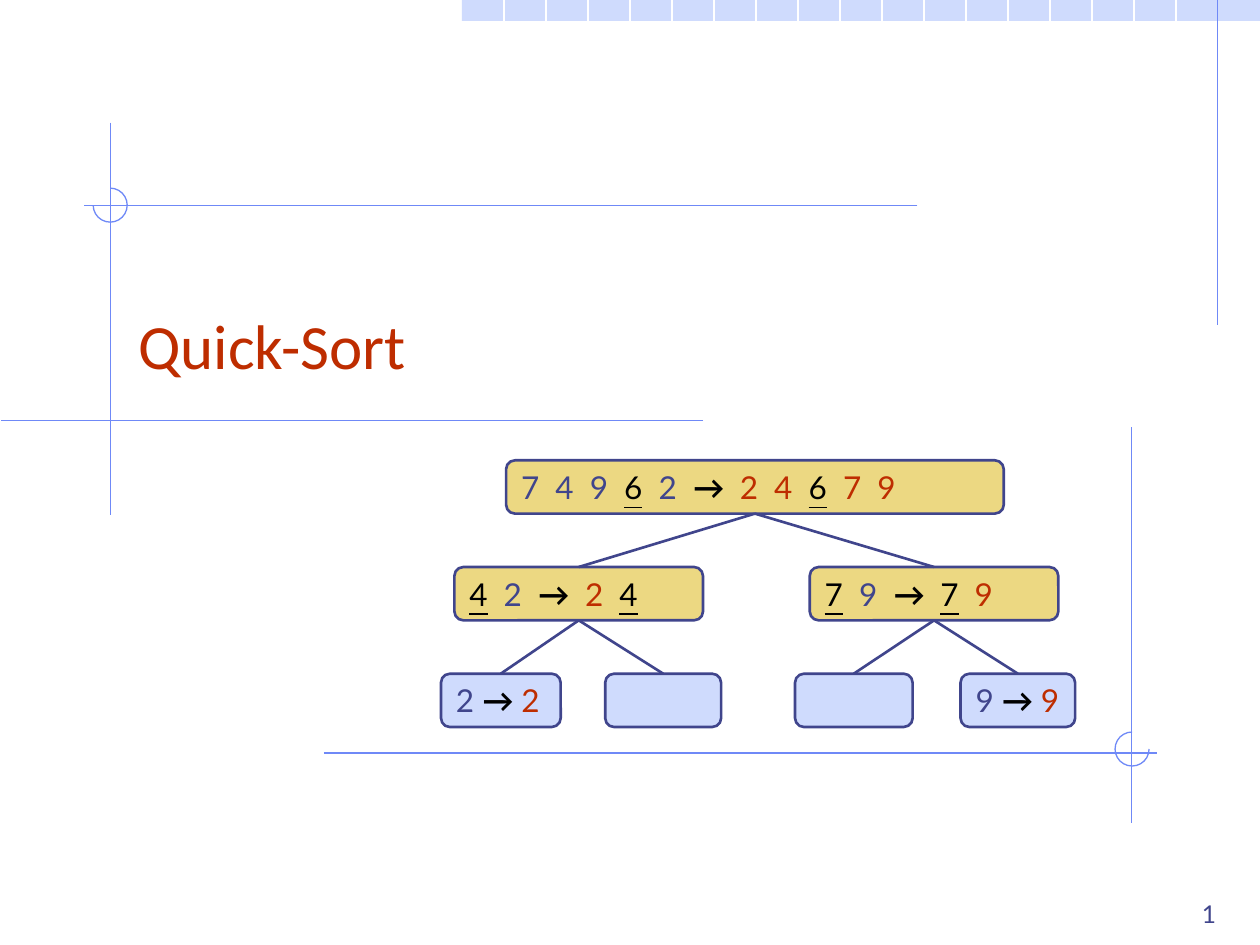
"""Builds a title slide for Quick-Sort with its tree of recursive calls."""
from typing import NamedTuple

from lxml.etree import SubElement
from pptx import Presentation
from pptx.dml.color import RGBColor
from pptx.enum.shapes import MSO_CONNECTOR as Link, MSO_SHAPE as Kind
from pptx.enum.text import MSO_ANCHOR as Anchor, PP_ALIGN as Align
from pptx.oxml.ns import qn
from pptx.util import Inches, Pt

NAVY = RGBColor(0x40, 0x45, 0x8C)
RED = RGBColor(0xBE, 0x2D, 0x00)
BLACK = RGBColor(0x00, 0x00, 0x00)
WHITE = RGBColor(0xFF, 0xFF, 0xFF)
GOLD = RGBColor(0xEC, 0xD8, 0x82)
PALE = RGBColor(0xCF, 0xDB, 0xFD)
BLUE = RGBColor(0x6F, 0x89, 0xF7)

WIDE, HIGH = Inches(10), Inches(7.5)
COLS, ROWS = 30, 22.5
CELL = WIDE / COLS
TOP, STEP, TALL = 10.96, 2.54, 1.27


class Box(NamedTuple):
    left: float
    top: float
    width: float
    height: float


class Line(NamedTuple):
    x1: float
    y1: float
    x2: float
    y2: float


class Ring(NamedTuple):
    box: Box
    start: int
    end: int


class Ink(NamedTuple):
    color: RGBColor
    bold: bool = False
    under: bool = False


class Node(NamedTuple):
    level: int
    left: float
    width: float
    fill: RGBColor
    parent: int | None
    runs: list[tuple[str, Ink]]


OLD, NEW = Ink(NAVY), Ink(RED)
PIVOT, ARROW = Ink(BLACK, under=True), Ink(BLACK, bold=True)

AXES = [
    Line(28.99, 0, 28.99, 7.74),
    Line(2.63, 2.92, 2.63, 12.27),
    Line(16.74, 10.02, 0.03, 10.02),
    Line(21.84, 4.89, 2.01, 4.89),
    Line(7.71, 17.93, 27.54, 17.93),
    Line(26.94, 10.17, 26.94, 19.59),
]
RINGS = [
    Ring(Box(2.22, 4.48, 0.81, 0.81), 270, 180),
    Ring(Box(26.55, 17.43, 0.81, 0.81), 0, 270),
]
NODES = [
    Node(0, 12.05, 11.85, GOLD, None, [
        ("7  4  9  ", OLD), ("6", PIVOT), ("  2  ", OLD), ("→  ", ARROW),
        ("2  4  ", NEW), ("6", PIVOT), ("  7  9", NEW)]),
    Node(1, 10.82, 5.92, GOLD, 0, [
        ("4", PIVOT), ("  2  ", OLD), ("→  ", ARROW), ("2  ", NEW), ("4", PIVOT)]),
    Node(1, 19.28, 5.92, GOLD, 0, [
        ("7", PIVOT), ("  9  ", OLD), ("→  ", ARROW), ("7", PIVOT), ("  9", NEW)]),
    Node(2, 10.5, 2.85, PALE, 1, [("2 ", OLD), ("→ ", ARROW), ("2", NEW)]),
    Node(2, 14.41, 2.76, PALE, 1, []),
    Node(2, 18.93, 2.8, PALE, 2, []),
    Node(2, 22.87, 2.73, PALE, 2, [("9 ", OLD), ("→ ", ARROW), ("9", NEW)]),
]


def grid(spots: tuple) -> list[int]:
    return [round(spot * CELL) for spot in spots]


def add_form(slide, kind: Kind, box: Box, fill: RGBColor | None,
             edge: RGBColor | None = None, weight: float = 0.75):
    form = slide.shapes.add_shape(kind, *grid(box))
    form.shadow.inherit = False
    if fill is None:
        form.fill.background()
    else:
        form.fill.solid()
        form.fill.fore_color.rgb = fill
    if edge is None:
        form.line.fill.background()
    else:
        form.line.color.rgb = edge
        form.line.width = Pt(weight)
    return form


def add_line(slide, line: Line, color: RGBColor, weight: float = 0.75):
    link = slide.shapes.add_connector(Link.STRAIGHT, *grid(line))
    link.line.color.rgb = color
    link.line.width = Pt(weight)
    SubElement(link._element.spPr, qn("a:effectLst"))
    return link


def add_ring(slide, ring: Ring) -> None:
    arc = add_form(slide, Kind.ARC, ring.box, None, BLUE)
    for spot, angle in enumerate((ring.start, ring.end)):
        arc.adjustments[spot] = angle * 0.6


def add_text(slide, box: Box, text: str, face: str, size: int,
             color: RGBColor, align: Align) -> None:
    frame = slide.shapes.add_textbox(*grid(box)).text_frame
    frame.word_wrap = True
    frame.vertical_anchor = Anchor.BOTTOM
    para = frame.paragraphs[0]
    para.text = text
    para.alignment = align
    para.font.name = face
    para.font.size = Pt(size)
    para.font.color.rgb = color


def add_node(slide, node: Node):
    box = Box(node.left, TOP + node.level * STEP, node.width, TALL)
    form = add_form(slide, Kind.ROUNDED_RECTANGLE, box, node.fill, NAVY, 1.5)
    frame = form.text_frame
    frame.vertical_anchor = Anchor.MIDDLE
    para = frame.paragraphs[0]
    para.alignment = Align.LEFT
    para.font.name = "Lato"
    para.font.size = Pt(18)
    for text, ink in node.runs:
        run = para.add_run()
        run.text = text
        run.font.color.rgb = ink.color
        run.font.bold = ink.bold
        run.font.underline = ink.under
    return form


def add_tree(slide) -> None:
    forms = [add_node(slide, node) for node in NODES]
    for node, form in zip(NODES, forms):
        if node.parent is not None:
            link = add_line(slide, Line(0, 0, 1, 1), NAVY, 1.5)
            link.begin_connect(forms[node.parent], 2)
            link.end_connect(form, 0)


def main() -> None:
    deck = Presentation()
    deck.slide_width, deck.slide_height = WIDE, HIGH
    slide = deck.slides.add_slide(deck.slide_layouts[6])
    add_form(slide, Kind.RECTANGLE, Box(11, 0, COLS - 11, 0.5), PALE)
    for col in range(12, 29):
        add_line(slide, Line(col, 0, col, ROWS), WHITE)
    for axis in AXES:
        add_line(slide, axis, BLUE)
    for ring in RINGS:
        add_ring(slide, ring)
    add_text(slide, Box(3, 5.49, 25.5, 3.75), "Quick-Sort", "Calibri", 36, RED, Align.LEFT)
    add_tree(slide)
    add_text(slide, Box(23.01, 20.76, 6.24, 1.5), "1", "Lato", 14, NAVY, Align.RIGHT)
    deck.save("out.pptx")


main()
